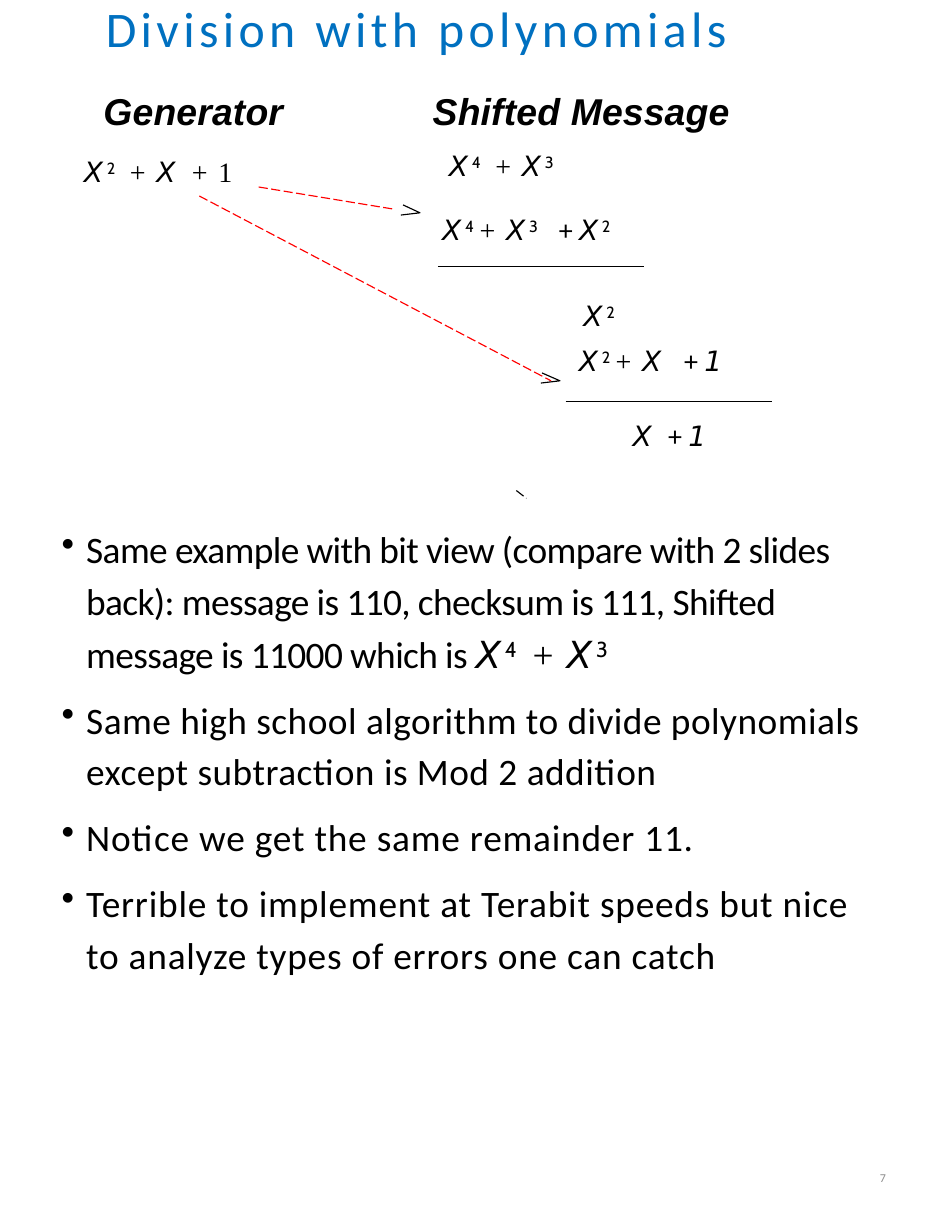
from dataclasses import dataclass, field

import lxml.etree
import pptx
import pptx.dml.color
import pptx.enum.dml
import pptx.enum.shapes
import pptx.enum.text
import pptx.oxml.ns
import pptx.util

Inches, Pt = pptx.util.Inches, pptx.util.Pt
qn = pptx.oxml.ns.qn
Align = pptx.enum.text.PP_ALIGN
Anchor = pptx.enum.text.MSO_ANCHOR


@dataclass(frozen=True)
class Theme:
    title: str = "0070C0"
    ink: str = "000000"
    guide: str = "FF0000"
    muted: str = "8C8C8C"
    title_size: float = 32
    body_size: float = 24
    formula_size: float = 18
    number_size: float = 7.7


@dataclass(frozen=True)
class Style:
    font: str
    spacing: float = 0
    italic: bool = False
    bold: bool = False
    baseline: int = 0


@dataclass(frozen=True)
class Run:
    text: str
    style: Style


@dataclass(frozen=True)
class Para:
    runs: list[Run]
    size: float
    color: str
    formats: dict = field(default_factory=dict)
    tab: float = 0
    bullet: bool = False


@dataclass(frozen=True)
class Formula:
    left: float
    top: float
    width: float
    runs: list[Run]


@dataclass(frozen=True)
class Stroke:
    points: list[tuple[float, float]]
    color: str
    dashed: bool = False


THEME = Theme()
VAR = Style("DejaVu Sans", 2.4, italic=True)
EXP = Style("Cabin", 3.5, baseline=30000)
OP = Style("Times New Roman", 1.2)
SUM = Style("Calibri")

X, ONE = Run("X", VAR), Run("1", VAR)
X_GAP, PLUS, WIDE_PLUS = Run("X ", VAR), Run("+ ", OP), Run(" + ", SUM)
SHIFTED = [X, Run("4 ", EXP), PLUS, X, Run("3", EXP)]
SQUARE = [X, Run("2", EXP)]

FORMULAS = [
    Formula(3.91, 1.28, 1.92, SHIFTED),
    Formula(0.65, 1.33, 1.92,
            [X, Run("2 ", EXP), PLUS, X_GAP, PLUS, Run("1", OP)]),
    Formula(3.85, 1.85, 4.31,
            [X, Run("4", EXP), PLUS, X, Run("3 ", EXP), WIDE_PLUS, *SQUARE]),
    Formula(5.11, 2.62, 4.31, SQUARE),
    Formula(5.07, 3.02, 4.31, [*SQUARE, PLUS, X_GAP, WIDE_PLUS, ONE]),
    Formula(5.55, 3.69, 4.31, [X_GAP, Run("+ ", SUM), ONE]),
]

STROKES = [
    Stroke([(2.31, 1.67), (3.53, 1.87)], THEME.guide, dashed=True),
    Stroke([(1.78, 1.75), (4.92, 3.4)], THEME.guide, dashed=True),
    Stroke([(4.61, 4.38), (4.7, 4.45)], THEME.ink, dashed=True),
    Stroke([(3.6, 1.83), (3.75, 1.9), (3.58, 1.92)], THEME.ink),
    Stroke([(4.84, 3.33), (5, 3.4), (4.83, 3.42)], THEME.ink),
]

SUM_LINES = [(3.91, 2.38), (5.05, 3.58)]
SUM_LINE_WIDTH = 1.84

BULLETS = [
    [Run("Same example with bit view (compare with 2 slides back): message is 110, "
         "checksum is 111, Shifted message is 11000 which is ", Style("Calibri", -0.4)),
     *SHIFTED],
    [Run("Same high school algorithm to divide polynomials except subtraction is "
         "Mod 2 addition", Style("Calibri", 0.3))],
    [Run("Notice we get the same remainder 11.", Style("Calibri", 0.5))],
    [Run("Terrible to implement at Terabit speeds but nice to analyze types of "
         "errors one can catch", Style("Calibri", 0.5))],
]


def rgb(color: str) -> pptx.dml.color.RGBColor:
    return pptx.dml.color.RGBColor.from_string(color)


def add_run(p, run: Run, size: float, color: str) -> None:
    r = p.add_run()
    r.text = run.text
    st = run.style
    formats = {"name": st.font, "size": Pt(size), "italic": st.italic, "bold": st.bold}
    for name, value in formats.items():
        setattr(r.font, name, value)
    r.font.color.rgb = rgb(color)
    rPr = r._r.get_or_add_rPr()
    rPr.set("spc", str(round(st.spacing * 100)))
    if st.baseline:
        rPr.set("baseline", str(st.baseline))


def fill_paragraph(p, para: Para) -> None:
    for name, value in para.formats.items():
        setattr(p, name, value)
    pPr = p._p.get_or_add_pPr()
    if para.bullet:
        pPr.set("marL", str(Inches(0.23)))
        pPr.set("indent", str(Inches(-0.22)))
        lxml.etree.SubElement(pPr, qn("a:buChar"), char="•")
    if para.tab:
        tabs = lxml.etree.SubElement(pPr, qn("a:tabLst"))
        lxml.etree.SubElement(tabs, qn("a:tab"), pos=str(Inches(para.tab)), algn="l")
    for run in para.runs:
        add_run(p, run, para.size, para.color)


def add_text(s, left: float, top: float, width: float, height: float,
             paras: list[Para], inset: bool = False, anchor=Anchor.TOP) -> None:
    sp = s.shapes.add_textbox(Inches(left), Inches(top), Inches(width), Inches(height))
    tf = sp.text_frame
    formats = {"word_wrap": True, "vertical_anchor": anchor,
               "auto_size": pptx.enum.text.MSO_AUTO_SIZE.SHAPE_TO_FIT_TEXT}
    if not inset:
        formats |= {f"margin_{side}": 0 for side in ("left", "top", "right", "bottom")}
    for name, value in formats.items():
        setattr(tf, name, value)
    for i, para in enumerate(paras):
        fill_paragraph(tf.add_paragraph() if i else tf.paragraphs[0], para)


def add_stroke(s, stroke: Stroke) -> None:
    start, *rest = [(Inches(x), Inches(y)) for x, y in stroke.points]
    builder = s.shapes.build_freeform(*start)
    builder.add_line_segments(rest, close=False)
    sp = builder.convert_to_shape()
    sp.shadow.inherit = False
    sp.fill.background()
    sp.line.color.rgb = rgb(stroke.color)
    sp.line.width = Pt(0.75)
    if stroke.dashed:
        sp.line.dash_style = pptx.enum.dml.MSO_LINE.LONG_DASH


def add_sum_line(s, left: float, top: float) -> None:
    line = s.shapes.add_connector(
        pptx.enum.shapes.MSO_CONNECTOR.STRAIGHT, Inches(left), Inches(top),
        Inches(left + SUM_LINE_WIDTH), Inches(top))
    line.line.color.rgb = rgb(THEME.ink)
    line.line.width = Pt(0.5)
    lxml.etree.SubElement(line._element.spPr, qn("a:effectLst"))


def main() -> None:
    prs = pptx.Presentation()
    prs.slide_width, prs.slide_height = Inches(8.5), Inches(11)
    s = prs.slides.add_slide(prs.slide_layouts[6])

    for stroke in STROKES:
        add_stroke(s, stroke)
    for left, top in SUM_LINES:
        add_sum_line(s, left, top)

    add_text(s, 6, 10.2, 1.91, 0.59, [
        Para([Run("7", Style("Calibri", -0.1))], THEME.number_size, THEME.muted,
             {"alignment": Align.RIGHT, "line_spacing": Pt(12.3)})], anchor=Anchor.MIDDLE)
    add_text(s, 0.61, -0.02, 6.22, 1.22, [
        Para([Run("Division with polynomials", Style("Calibri", 2.8))],
             THEME.title_size, THEME.title, {"alignment": Align.CENTER}),
        Para([Run("Generator\tShifted Message", Style("Arial", 0.1, True, True))],
             THEME.body_size, THEME.ink,
             {"alignment": Align.CENTER, "space_before": Pt(19.4)}, tab=2.94)])
    add_text(s, 0.54, 4.63, 7.37, 5.19, [
        Para(runs, THEME.body_size, THEME.ink,
             {"line_spacing": 1.16 if i else 1.17, "space_before": Pt(8.9 if i else 0)},
             tab=0.23, bullet=True)
        for i, runs in enumerate(BULLETS)])
    for f in FORMULAS:
        add_text(s, f.left, f.top, f.width, 0.4,
                 [Para(f.runs, THEME.formula_size, THEME.ink)], inset=True)

    prs.save("out.pptx")


if __name__ == "__main__":
    main()
